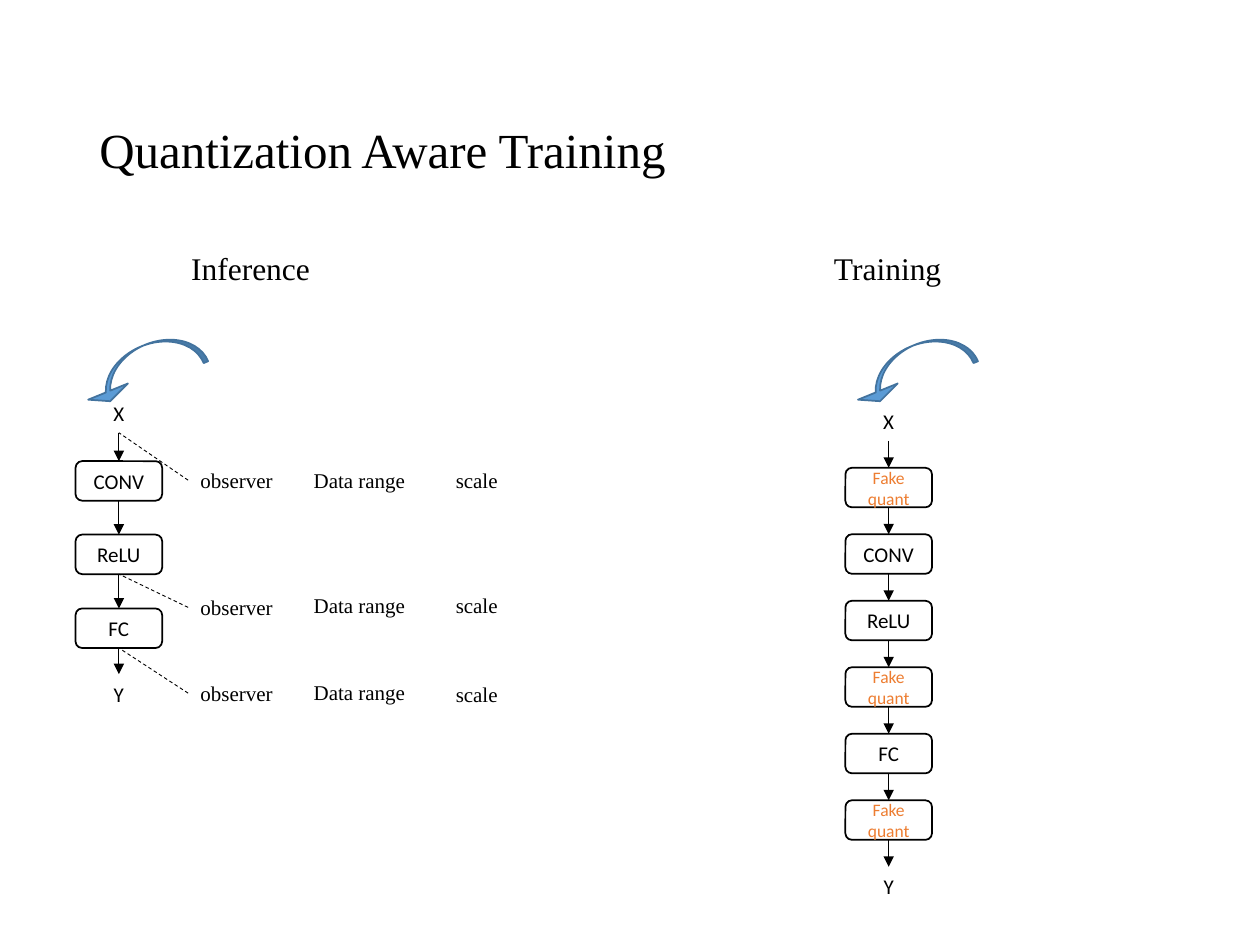
from dataclasses import dataclass

from lxml.etree import SubElement
from pptx import Presentation
from pptx.dml.color import RGBColor
from pptx.enum.dml import MSO_LINE
from pptx.enum.shapes import MSO_CONNECTOR, MSO_SHAPE
from pptx.enum.text import MSO_ANCHOR, MSO_AUTO_SIZE, PP_ALIGN
from pptx.oxml.ns import qn
from pptx.util import Pt


@dataclass(frozen=True)
class Theme:
    ink = RGBColor(0x00, 0x00, 0x00)
    accent = RGBColor(0xED, 0x7D, 0x31)
    arrow_fill = RGBColor(0x5B, 0x9B, 0xD5)
    arrow_line = RGBColor(0x43, 0x73, 0x9E)
    serif = "Times New Roman"
    sans = "Calibri"
    title = Pt(28)
    heading = Pt(18)
    body = Pt(12)
    small = Pt(10)
    outline = Pt(1)
    hairline = Pt(0.5)


@dataclass(frozen=True)
class Box:
    left: float
    top: float
    width: float
    height: float

    def inner(self, left, top, width, height):
        """A box whose position is counted from this box's corner."""
        return Box(self.left + left, self.top + top, width, height)

    def points(self):
        return Pt(self.left), Pt(self.top), Pt(self.width), Pt(self.height)


THEME = Theme()
NODE_WIDTH, NODE_HEIGHT = 49.5, 22.6
LABEL_HEIGHT = 21.8
FAKE_QUANT = "Fake\nquant"
ENDS = ("X", "Y")


def set_font(para, name, size, color):
    para.font.name = name
    para.font.size = size
    para.font.color.rgb = color


def add_label(page, box, text, size):
    label = page.shapes.add_textbox(*box.points())
    frame = label.text_frame
    frame.word_wrap = False
    frame.auto_size = MSO_AUTO_SIZE.SHAPE_TO_FIT_TEXT
    frame.text = text
    set_font(frame.paragraphs[0], THEME.serif, size, THEME.ink)
    return label


def add_title(page, box, text):
    title = page.shapes.add_textbox(*box.points())
    frame = title.text_frame
    frame.word_wrap = True
    frame.vertical_anchor = MSO_ANCHOR.MIDDLE
    frame.text = text
    para = frame.paragraphs[0]
    para.line_spacing = 0.9
    set_font(para, THEME.serif, THEME.title, THEME.ink)


def add_node(page, box, text):
    node = page.shapes.add_shape(MSO_SHAPE.ROUNDED_RECTANGLE, *box.points())
    node.shadow.inherit = False
    node.fill.background()
    if text in ENDS:
        node.line.fill.background()
    else:
        node.line.color.rgb = THEME.ink
        node.line.width = THEME.outline
    is_fake = text == FAKE_QUANT
    frame = node.text_frame
    frame.vertical_anchor = MSO_ANCHOR.MIDDLE
    frame.text = text
    for para in frame.paragraphs:
        para.alignment = PP_ALIGN.CENTER
        set_font(para, THEME.sans, THEME.small if is_fake else THEME.body,
                 THEME.accent if is_fake else THEME.ink)
    return node


def join(page, start, start_side, end, end_side, dashed=False):
    """Join two shapes: a dashed plain line, or a solid line with an arrowhead."""
    line = page.shapes.add_connector(MSO_CONNECTOR.STRAIGHT, 0, 0, 0, 0)
    line.begin_connect(start, start_side)
    line.end_connect(end, end_side)
    line.line.color.rgb = THEME.ink
    line.line.width = THEME.hairline
    if dashed:
        line.line.dash_style = MSO_LINE.DASH
    else:
        SubElement(line.line._get_or_add_ln(), qn("a:tailEnd"), type="triangle")
    SubElement(line._element.spPr, qn("a:effectLst"))


def add_input_arrow(page, box):
    arrow = page.shapes.add_shape(MSO_SHAPE.CURVED_UP_ARROW, *box.points())
    arrow.shadow.inherit = False
    arrow.rotation = 157.8
    for index, value in enumerate((0.122, 1.101, 0.25)):
        arrow.adjustments[index] = value
    arrow.fill.solid()
    arrow.fill.fore_color.rgb = THEME.arrow_fill
    arrow.line.color.rgb = THEME.arrow_line
    arrow.line.width = THEME.outline


def add_flow(page, box, steps):
    """A column of nodes joined top to bottom; steps pair a text with its top."""
    add_input_arrow(page, box.inner(1.5, 0, 72.7, 22.3))
    nodes = [add_node(page, box.inner(0, top, NODE_WIDTH, NODE_HEIGHT), text)
             for text, top in steps]
    for upper, lower in zip(nodes, nodes[1:]):
        join(page, upper, 2, lower, 0)
    return nodes


def add_inference(page, box):
    add_label(page, box.inner(59, 0, 83.5, 29), "Inference", THEME.heading)
    steps = (("X", 26), ("CONV", 64.8), ("ReLU", 106.8), ("FC", 149), ("Y", 186.5))
    nodes = add_flow(page, box.inner(0, 59.7, NODE_WIDTH, 209), steps)
    columns = (
        ("observer", 64.3, 56, (124.5, 197.2, 246.2)),
        ("Data range", 129, 67.7, (124.5, 195.8, 245.5)),
        ("scale", 210.2, 39, (124.5, 195.8, 246.9)),
    )
    labels = [[add_label(page, box.inner(left, top, width, LABEL_HEIGHT), text, THEME.body)
               for top in tops]
              for text, left, width, tops in columns]
    observed = (nodes[0], nodes[2], nodes[3])
    for observer, node in zip(labels[0], observed):
        join(page, observer, 1, node, 2, dashed=True)


def add_training(page, box):
    add_label(page, box.inner(0, 0, 76.3, 29), "Training", THEME.heading)
    texts = ("X", FAKE_QUANT, "CONV", "ReLU", FAKE_QUANT, "FC", FAKE_QUANT, "Y")
    pitch = 38
    steps = [(text, 30.6 + pitch * row) for row, text in enumerate(texts)]
    add_flow(page, box.inner(13.6, 59.7, NODE_WIDTH, 320), steps)


def main():
    deck = Presentation()
    deck.slide_width, deck.slide_height = Pt(720), Pt(540)
    page = deck.slides.add_slide(deck.slide_layouts[6])
    add_title(page, Box(49.7, 62.6, 620.6, 49), "Quantization Aware Training")
    add_inference(page, Box(43.2, 139, 250, 269))
    add_training(page, Box(469.5, 139, 77, 380))
    deck.save("out.pptx")


if __name__ == "__main__":
    main()
